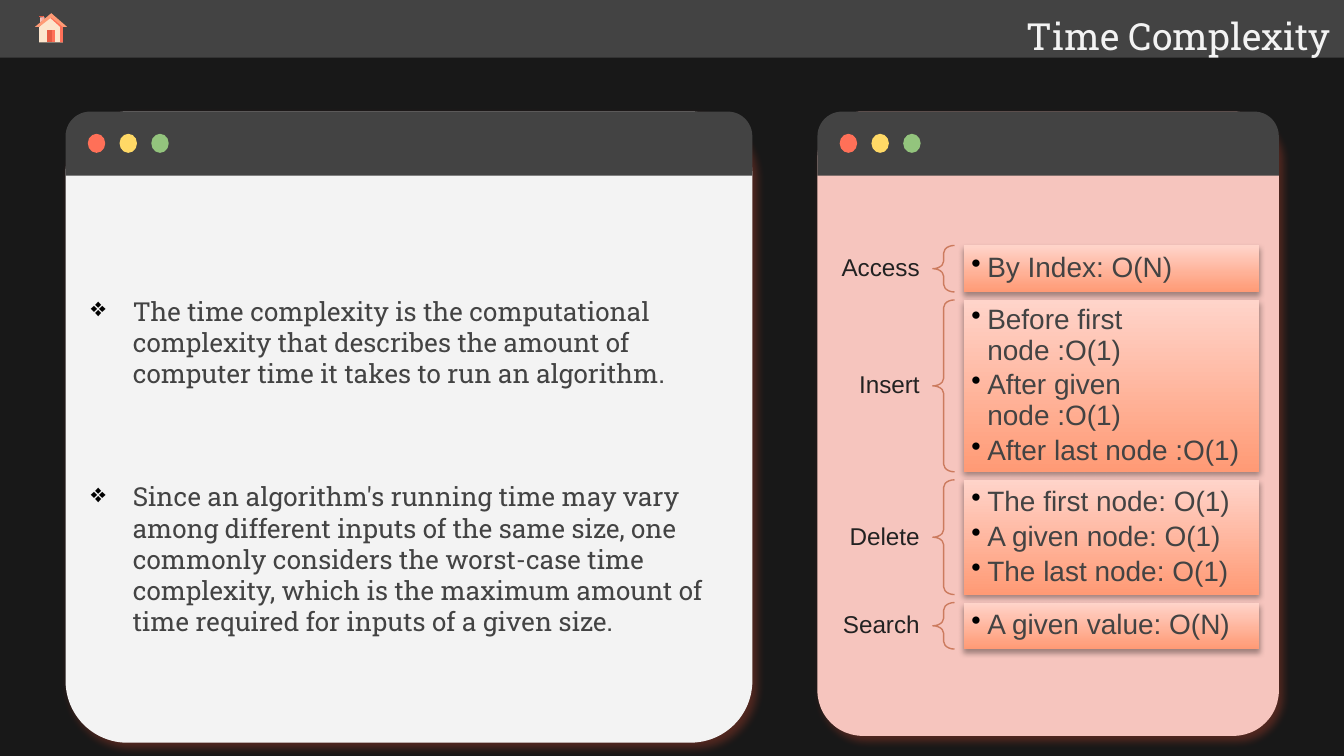
from lxml import etree
from pptx import Presentation
from pptx.dml.color import RGBColor
from pptx.enum.shapes import MSO_SHAPE
from pptx.enum.text import MSO_ANCHOR, MSO_AUTO_SIZE, PP_ALIGN
from pptx.oxml.ns import qn
from pptx.util import Cm, Pt

RECT, OVAL = MSO_SHAPE.RECTANGLE, MSO_SHAPE.OVAL
ROUND, TOP = MSO_SHAPE.ROUNDED_RECTANGLE, MSO_SHAPE.ROUND_2_SAME_RECTANGLE
BRACE = MSO_SHAPE.LEFT_BRACE
LEFT, RIGHT = PP_ALIGN.LEFT, PP_ALIGN.RIGHT
MIDDLE, FIXED = MSO_ANCHOR.MIDDLE, MSO_AUTO_SIZE.NONE

THEME = {
    "back": "181818", "bar": "434343", "light": "F3F3F3", "pink": "F6C5BE",
    "ink": "434343", "label": "222222", "bullet": "000000", "brace": "CC7B5E",
    "dots": ["FF7058", "FFD966", "93C47D"], "fade": ["FF9A75", "FFD4CA"],
    "glow": ("963A2A", 47, 4.5, 3.8, 49), "drop": ("000000", 35, 3.1, 1.8, 90),
    "serif": "Roboto Slab", "sans": "Arial",
    "title": 20, "body": 14, "item": 15, "tag": 13,
}

TITLE = "Time Complexity"
BODY = [
    "The time complexity is the computational complexity that describes "
    "the amount of computer time it takes to run an algorithm.",
    "Since an algorithm's running time may vary among different inputs of "
    "the same size, one commonly considers the worst-case time complexity, "
    "which is the maximum amount of time required for inputs of a given size.",
]
COSTS = [
    ("Access", 0.88, ["By Index: O(N)"]),
    ("Insert", 3.25, ["Before first node :O(1)", "After given node :O(1)",
                      "After last node :O(1)"]),
    ("Delete", 2.17, ["The first node: O(1)", "A given node: O(1)",
                      "The last node: O(1)"]),
    ("Search", 0.88, ["A given value: O(N)"]),
]
CARDS = [
    (15.45, 2.11, 8.72, 11.8, "pink"),
    (1.24, 2.11, 12.98, 11.93, "light"),
]


def block(x, y, w, h):
    return [(x, y), (x + w, y), (x + w, y + h), (x, y + h)]


HOUSE = [
    ("F6C5BE", [(0.76, 0.33), (0.76, 0.43), (0.84, 0.36), (0.84, 0.33)]),
    ("F9ABA0", [(0.79, 0.33), (0.79, 0.41), (0.84, 0.36), (0.84, 0.33)]),
    ("FCE5CD", [(0.97, 0.3), (0.74, 0.51), (0.74, 0.8), (1.19, 0.8),
                (1.19, 0.51)]),
    ("FF7058", [(0.97, 0.3), (0.94, 0.33), (1.14, 0.51), (1.14, 0.8),
                (1.19, 0.8), (1.19, 0.51)]),
    ("E55A43", block(0.74, 0.3, 0.1, 0.03)),
    ("E55A43", block(0.89, 0.56, 0.15, 0.24)),
    ("FF7058", block(0.99, 0.56, 0.05, 0.24)),
    ("FF9A75", [(0.97, 0.25), (0.66, 0.51), (0.74, 0.51), (0.97, 0.33),
                (1.19, 0.51), (1.27, 0.51)]),
    ("FF7058", block(0.81, 0.3, 0.03, 0.03)),
]

deck = Presentation()
deck.slide_width, deck.slide_height = Cm(25.4), Cm(14.29)
slide = deck.slides.add_slide(deck.slide_layouts[5])
shapes = slide.shapes


def color(code):
    return RGBColor.from_string(code)


def paint(shape, fill):
    shape.shadow.inherit = False
    shape.fill.solid()
    shape.fill.fore_color.rgb = color(fill)
    shape.line.fill.background()
    return shape


def add(kind, x, y, w, h, fill, *bends):
    shape = shapes.add_shape(kind, Cm(x), Cm(y), Cm(w), Cm(h))
    for i, bend in enumerate(bends):
        shape.adjustments[i] = bend
    return paint(shape, fill)


def shade(shape, tint, alpha, blur, dist, angle):
    effects = shape.element.spPr.find(qn("a:effectLst"))
    outer = etree.SubElement(effects, qn("a:outerShdw"), blurRad=str(Pt(blur)),
                             dist=str(Pt(dist)), dir=str(angle * 60000),
                             algn="bl", rotWithShape="0")
    rgb = etree.SubElement(outer, qn("a:srgbClr"), val=tint)
    etree.SubElement(rgb, qn("a:alpha"), val=str(alpha * 1000))


def mark(para, sign, dent):
    props = para._p.get_or_add_pPr()
    props.set("marL", str(Cm(dent)))
    props.set("indent", str(-Cm(dent)))
    tint = etree.SubElement(props, qn("a:buClr"))
    etree.SubElement(tint, qn("a:srgbClr"), val=THEME["bullet"])
    etree.SubElement(props, qn("a:buChar"), char=sign)


def write(shape, lines, size, font, ink, align=LEFT, pad=(0.25, 0.1, 0.25, 0.1),
          lead=None, gap=0, sign=None, dent=0):
    frame = shape.text_frame
    frame.word_wrap, frame.auto_size = True, FIXED
    frame.vertical_anchor = MIDDLE
    (frame.margin_left, frame.margin_top,
     frame.margin_right, frame.margin_bottom) = [Cm(p) for p in pad]
    for i, line in enumerate(lines):
        para = frame.paragraphs[0] if i == 0 else frame.add_paragraph()
        para.alignment, para.line_spacing = align, lead
        para.space_before = Pt(0)
        para.space_after = Pt(gap if i < len(lines) - 1 else 0)
        if sign:
            mark(para, sign, dent)
        run = para.add_run()
        run.text = line
        run.font.size, run.font.name = Pt(THEME[size]), THEME[font]
        run.font.color.rgb = color(THEME[ink])


def label(x, y, w, h):
    return shapes.add_textbox(Cm(x), Cm(y), Cm(w), Cm(h))


slide.background.fill.solid()
slide.background.fill.fore_color.rgb = color(THEME["back"])

for x, y, w, h, fill in CARDS:
    shade(add(ROUND, x, y, w, h, THEME[fill], 0.098), *THEME["glow"])
    add(TOP, x, y, w, 1.21, THEME["bar"], 0.383, 0)
    for i, dot in enumerate(THEME["dots"]):
        add(OVAL, x + 0.42 + 0.6 * i, y + 0.42, 0.33, 0.36, dot)

write(label(1.47, 3.2, 12.52, 10.72), BODY, "body", "serif", "ink",
      pad=(0.25, 0.5, 0.25, 0), lead=Pt(16.7), gap=49.5, sign="❖", dent=0.79)

bar = add(RECT, 0, 0, 25.4, 1.09, THEME["bar"])
title = shapes.title
title.left, title.top, title.width, title.height = (
    Cm(16.2), Cm(0.18), Cm(9.2), Cm(0.89))
title.element.addprevious(bar.element)
write(title, [TITLE], "title", "serif", "light", align=RIGHT,
      pad=(0.25,) * 4, lead=1.1)

for fill, dots in HOUSE:
    dots = [(Cm(x), Cm(y)) for x, y in dots]
    pen = shapes.build_freeform(*dots[0])
    pen.add_line_segments(dots[1:])
    paint(pen.convert_to_shape(), fill)

y = 4.64
for name, h, items in COSTS:
    write(label(15.57, y + h / 2 - 0.41, 2.06, 0.82), [name],
          "tag", "sans", "label", align=RIGHT, lead=0.9)
    brace = add(BRACE, 17.63, y, 0.41, h, THEME["pink"], 0.35, 0.5)
    brace.fill.background()
    brace.line.color.rgb = color(THEME["brace"])
    brace.line.width = Pt(0.75)
    box = add(RECT, 18.21, y, 5.59, h, THEME["pink"])
    box.fill.gradient()
    box.fill.gradient_angle = 90
    for stop, tint in zip(box.fill.gradient_stops, THEME["fade"]):
        stop.color.rgb = color(tint)
    shade(box, *THEME["drop"])
    write(box, items, "item", "sans", "ink", pad=(0.15,) * 4,
          lead=0.9, gap=2.5, sign="•", dent=0.3)
    y += h + 0.15

deck.save("out.pptx")
